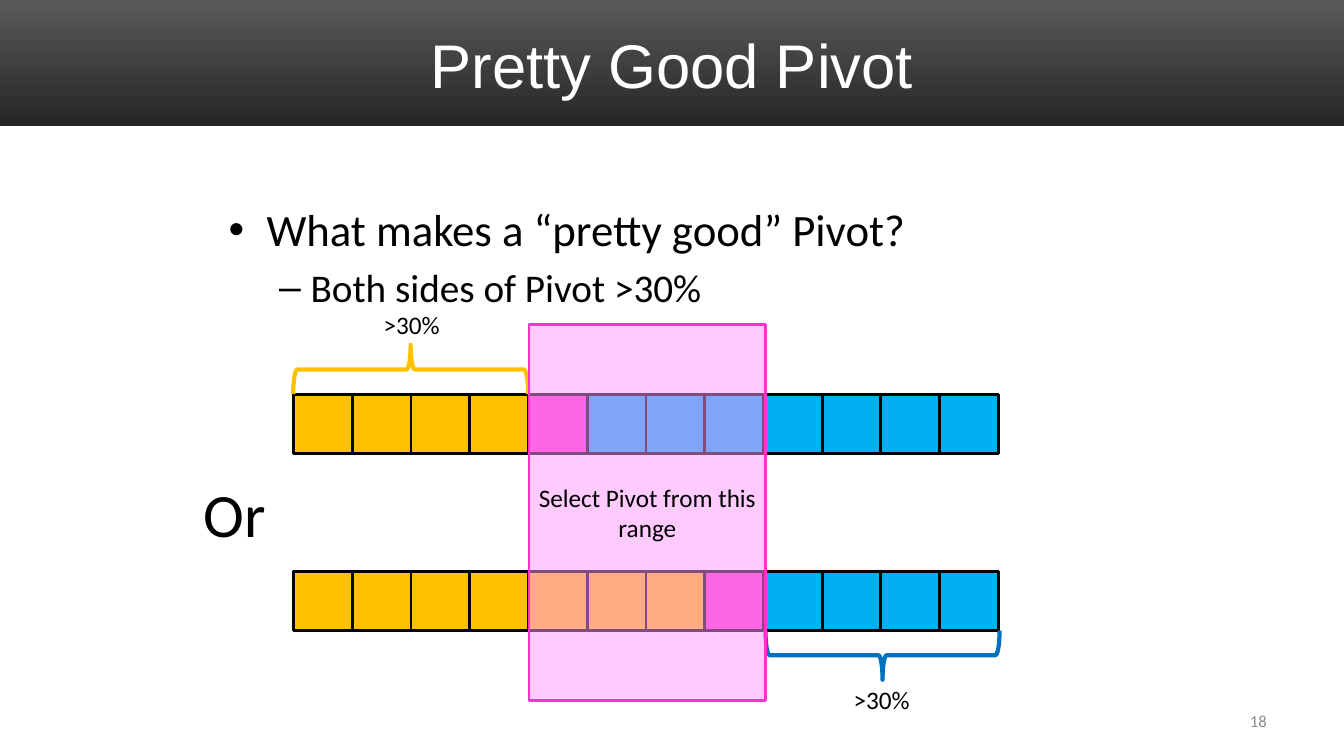
from dataclasses import dataclass

import pptx
import pptx.dml.color
import pptx.enum.shapes
import pptx.enum.text
import pptx.oxml
import pptx.oxml.ns
import pptx.util
from pptx.util import Cm, Pt

SHAPE = pptx.enum.shapes.MSO_SHAPE
ALIGN = pptx.enum.text.PP_ALIGN
ANCHOR = pptx.enum.text.MSO_ANCHOR

YELLOW, PINK, BLUE, BLACK = "FFC000", "FF33CC", "00B0F0", "000000"
CELL = 1.48
ROW_LEFT = 7.4


@dataclass
class Area:
    left: float
    top: float
    width: float
    height: float

    def lengths(self) -> tuple:
        return Cm(self.left), Cm(self.top), Cm(self.width), Cm(self.height)


@dataclass
class ArrayRow:
    top: float
    yellow: int
    blue: int


@dataclass
class Brace:
    area: Area
    rotation: int
    colour: str


@dataclass
class Label:
    text: str
    area: Area
    size: int
    colour: str = BLACK
    align: ALIGN = ALIGN.LEFT
    wrap: bool = False


def rgb(colour: str) -> pptx.dml.color.RGBColor:
    return pptx.dml.color.RGBColor.from_string(colour)


def add_span(para, text: str, size: int, colour: str = BLACK, font: str = "Calibri") -> None:
    span = para.add_run()
    span.text = text
    span.font.size = Pt(size)
    span.font.name = font
    span.font.color.rgb = rgb(colour)


def add_outlined(shapes, kind: SHAPE, area: Area, line: str, width: float):
    shape = shapes.add_shape(kind, *area.lengths())
    shape.shadow.inherit = False
    shape.line.color.rgb = rgb(line)
    shape.line.width = Pt(width)
    return shape


def place(shape, area: Area) -> None:
    shape.left, shape.top, shape.width, shape.height = area.lengths()


def draw_title(page) -> None:
    title = page.shapes.title
    place(title, Area(1.7, 0.43, 30.48, 2.34))
    title.text_frame.vertical_anchor = ANCHOR.MIDDLE
    para = title.text_frame.paragraphs[0]
    para.alignment = ALIGN.CENTER
    add_span(para, "Pretty Good Pivot", 44, "FFFFFF", "Arial")

    # The banner goes behind the title
    banner = page.shapes.add_shape(SHAPE.RECTANGLE, *Area(0, 0, 33.87, 3.18).lengths())
    banner.shadow.inherit = False
    banner.line.fill.background()
    banner.fill.gradient()
    banner.fill.gradient_angle = 270
    for stop, position, colour in zip(banner.fill.gradient_stops, (0, 1), ("595959", "262626")):
        stop.position = position
        stop.color.rgb = rgb(colour)
    title.element.addprevious(banner.element)


def draw_body(page) -> None:
    body = page.placeholders[1]
    place(body, Area(5.51, 4.45, 22.86, 4.01))
    frame = body.text_frame
    frame.vertical_anchor = ANCHOR.MIDDLE
    question = frame.paragraphs[0]
    question.space_before = Pt(0)
    add_span(question, "What makes a “pretty good” Pivot?", 32)
    answer = frame.add_paragraph()
    answer.level = 1
    add_span(answer, "Both sides of Pivot >30%", 28)


def draw_row(page, row: ArrayRow) -> None:
    group = page.shapes.add_group_shape()
    colours = [YELLOW] * row.yellow + [PINK] + [BLUE] * row.blue
    for index, colour in enumerate(colours):
        area = Area(ROW_LEFT + index * CELL, row.top, CELL, CELL)
        cell = add_outlined(group.shapes, SHAPE.RECTANGLE, area, BLACK, 2)
        cell.fill.solid()
        cell.fill.fore_color.rgb = rgb(colour)


def draw_brace(page, brace: Brace) -> None:
    shape = add_outlined(page.shapes, SHAPE.RIGHT_BRACE, brace.area, brace.colour, 3)
    shape.fill.background()
    shape.rotation = brace.rotation


def draw_label(page, label: Label) -> None:
    box = page.shapes.add_textbox(*label.area.lengths())
    box.text_frame.word_wrap = label.wrap
    box.text_frame.vertical_anchor = ANCHOR.MIDDLE
    para = box.text_frame.paragraphs[0]
    para.alignment = label.align
    add_span(para, label.text, label.size, label.colour)


def draw_pivot_range(page) -> None:
    area = Area(13.33, 8.18, 5.97, 9.47)
    panel = add_outlined(page.shapes, SHAPE.RECTANGLE, area, PINK, 2)
    panel.fill.solid()
    panel.fill.fore_color.rgb = rgb("FF99FF")
    # Half transparent
    colour = panel.element.spPr.find(".//" + pptx.oxml.ns.qn("a:srgbClr"))
    alpha = pptx.oxml.parse_xml(f'<a:alpha {pptx.oxml.ns.nsdecls("a")} val="50000"/>')
    colour.append(alpha)
    panel.text_frame.vertical_anchor = ANCHOR.MIDDLE
    para = panel.text_frame.paragraphs[0]
    para.alignment = ALIGN.CENTER
    add_span(para, "Select Pivot from this range", 18)


ROWS = [ArrayRow(9.95, 4, 7), ArrayRow(14.4, 7, 4)]
BRACES = [
    Brace(Area(9.73, 6.35, 1.24, 5.92), 270, YELLOW),
    Brace(Area(21.62, 13.56, 1.24, 5.9), 90, "0070C0"),
]
LABELS = [
    Label("18", Area(24.28, 17.65, 7.9, 1.02), 12, "8C8C8C", ALIGN.RIGHT, True),
    Label("Or", Area(4.88, 11.86, 2.11, 2.13), 44),
    Label(">30%", Area(9.42, 7.67, 1.93, 1.02), 18),
    Label(">30%", Area(21.26, 17.12, 1.93, 1.02), 18),
]


def main() -> None:
    deck = pptx.Presentation()
    deck.slide_width, deck.slide_height = Cm(33.87), Cm(19.05)
    page = deck.slides.add_slide(deck.slide_layouts[1])
    draw_title(page)
    draw_body(page)
    # Arrays with their braces and labels
    for row in ROWS:
        draw_row(page, row)
    for brace in BRACES:
        draw_brace(page, brace)
    for label in LABELS:
        draw_label(page, label)
    draw_pivot_range(page)
    deck.save("out.pptx")


if __name__ == "__main__":
    main()
